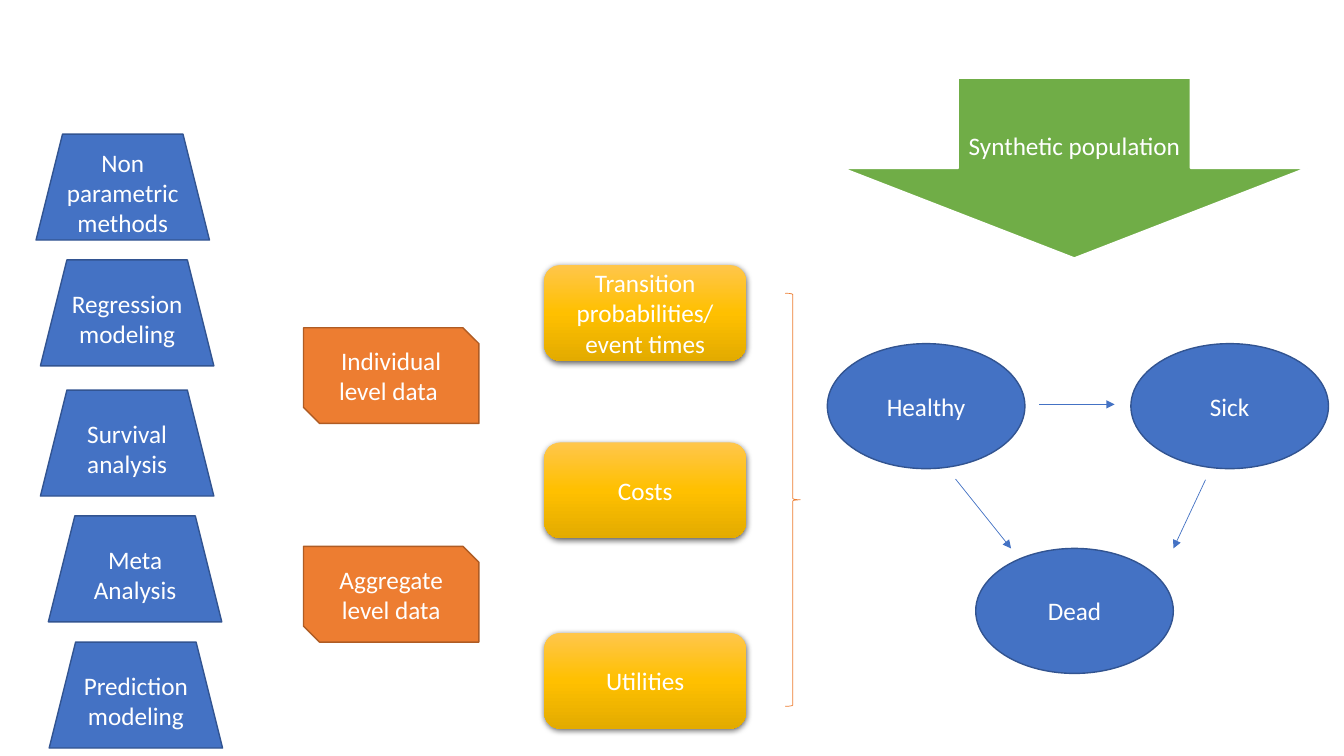
from copy import deepcopy

from lxml.etree import SubElement
from pptx import Presentation
from pptx.dml.color import RGBColor
from pptx.enum.shapes import MSO_CONNECTOR as LINE, MSO_SHAPE as SHAPE
from pptx.enum.text import MSO_ANCHOR as ANCHOR, PP_ALIGN as ALIGN
from pptx.oxml.ns import qn
from pptx.util import Cm, Pt

WHITE = RGBColor(0xFF, 0xFF, 0xFF)
BLACK = RGBColor(0x00, 0x00, 0x00)
BLUE = RGBColor(0x44, 0x72, 0xC4)
DARK_BLUE = RGBColor(0x32, 0x54, 0x91)
ORANGE = RGBColor(0xED, 0x7D, 0x31)
DARK_ORANGE = RGBColor(0xAF, 0x5C, 0x24)
GREEN = RGBColor(0x70, 0xAD, 0x47)
GOLD_STOPS = (RGBColor(0xFF, 0xC6, 0x4B), RGBColor(0xFF, 0xC0, 0x00),
              RGBColor(0xE3, 0xAB, 0x00))


def write(sp, text, font="Calibri", size=18, color=WHITE, align=ALIGN.CENTER):
    tf = sp.text_frame
    tf.word_wrap = True
    tf.vertical_anchor = ANCHOR.MIDDLE
    p = tf.paragraphs[0]
    p.alignment = align
    r = p.add_run()
    r.text = text
    r.font.name, r.font.size = font, Pt(size)
    r.font.color.rgb = color


class Diagram:
    """Draws styled elements on one slide; lengths are in centimetres."""

    def __init__(self, slide):
        self.shapes = slide.shapes

    def outline(self, kind, x, y, w, h, color, width):
        sp = self.shapes.add_shape(kind, Cm(x), Cm(y), Cm(w), Cm(h))
        sp.shadow.inherit = False
        sp.fill.background()
        sp.line.color.rgb = color
        sp.line.width = Pt(width)
        return sp

    def box(self, kind, text, x, y, w, h, fill, line, width=1):
        sp = self.outline(kind, x, y, w, h, line, width)
        sp.fill.solid()
        sp.fill.fore_color.rgb = fill
        write(sp, text)

    def gold_box(self, text, x, y, w, h):
        sp = self.outline(SHAPE.ROUNDED_RECTANGLE, x, y, w, h, WHITE, 1)
        sp.line.fill.background()
        # Three-stop gradient, top to bottom
        sp.fill.gradient()
        sp.fill.gradient_angle = 270
        stops = sp._element.spPr.find(".//" + qn("a:gsLst"))
        stops.append(deepcopy(stops[0]))
        for stop, color, position in zip(sp.fill.gradient_stops, GOLD_STOPS, (0, 0.5, 1)):
            stop.color.rgb = color
            stop.position = position
        # Soft shadow below
        effects = sp._element.spPr.find(qn("a:effectLst"))
        shadow = SubElement(effects, qn("a:outerShdw"), blurRad=str(Pt(4.5)),
                            dist=str(Pt(1.5)), dir="5400000", algn="ctr", rotWithShape="0")
        color = SubElement(shadow, qn("a:srgbClr"), val=str(BLACK))
        SubElement(color, qn("a:alpha"), val="63000")
        write(sp, text)

    def arrow(self, x1, y1, x2, y2):
        s = self.shapes.add_connector(LINE.STRAIGHT, Cm(x1), Cm(y1), Cm(x2), Cm(y2))
        s.line.color.rgb = BLUE
        s.line.width = Pt(0.5)
        SubElement(s.line._get_or_add_ln(), qn("a:tailEnd"), type="triangle")
        SubElement(s._element.spPr, qn("a:effectLst"))


def main():
    prs = Presentation()
    prs.slide_width, prs.slide_height = Cm(33.87), Cm(19.05)
    d = Diagram(prs.slides.add_slide(prs.slide_layouts[6]))

    # Health states and transitions
    for state, x, y in (("Healthy", 20.85, 8.66), ("Sick", 28.5, 8.66),
                        ("Dead", 24.59, 13.82)):
        d.box(SHAPE.OVAL, state, x, y, 4.98, 3.15, BLUE, DARK_BLUE)
    for ends in ((24.08, 12.07, 25.48, 13.82), (26.19, 10.19, 28.09, 10.19),
                 (30.38, 12.09, 29.57, 13.82)):
        d.arrow(*ends)

    # Model inputs, gathered by a brace
    for model_input, y in (("Transition probabilities/ event times", 6.68),
                           ("Costs", 11.15), ("Utilities", 15.95)):
        d.gold_box(model_input, 13.72, y, 5.08, 2.41)
    d.outline(SHAPE.RIGHT_BRACE, 19.79, 7.39, 0.38, 10.41, ORANGE, 0.5)

    # Data sources
    for source, y in (("Individual level data ", 8.26), ("Aggregate level data", 13.77)):
        d.box(SHAPE.SNIP_2_DIAG_RECTANGLE, source, 7.65, y, 4.42, 2.41, ORANGE, DARK_ORANGE)

    # Analysis methods
    for method, x, y in (("Non parametric methods", 0.91, 3.38),
                         ("Regression modeling", 1.02, 6.55),
                         ("Survival analysis", 1.02, 9.83),
                         ("Meta Analysis", 1.22, 13),
                         ("Prediction modeling", 1.24, 16.18)):
        d.box(SHAPE.TRAPEZOID, method, x, y, 4.37, 2.67, BLUE, DARK_BLUE)

    # Population entering the model
    d.box(SHAPE.DOWN_ARROW, "Synthetic population", 21.21, 1.96, 11.73, 4.55,
          GREEN, WHITE, 1.5)

    prs.save("out.pptx")


if __name__ == "__main__":
    main()
